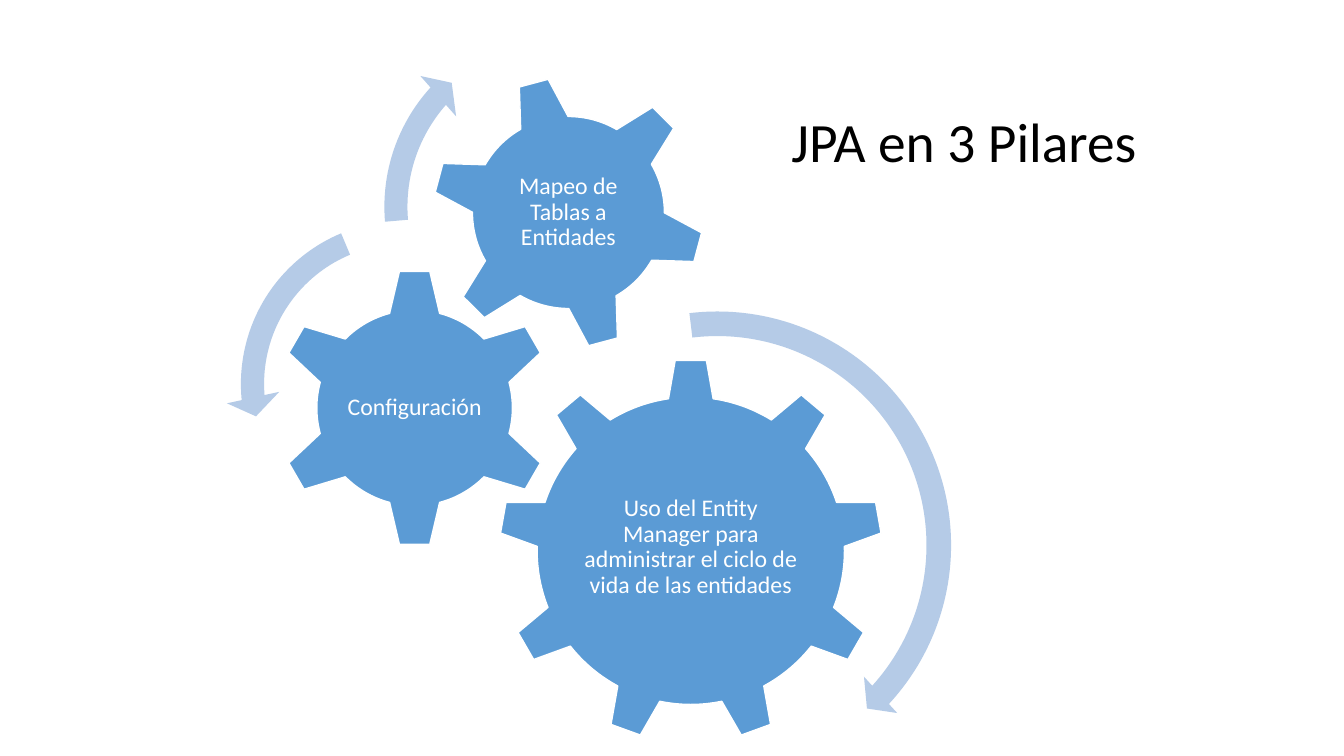
from pptx import Presentation
from pptx.dml.color import RGBColor
from pptx.enum.shapes import MSO_SHAPE
from pptx.enum.text import MSO_ANCHOR, PP_ALIGN
from pptx.util import Cm, Pt

GEAR_6, GEAR_9 = MSO_SHAPE.GEAR_6, MSO_SHAPE.GEAR_9
CLOCKWISE, COUNTERCLOCKWISE = MSO_SHAPE.CIRCULAR_ARROW, MSO_SHAPE.LEFT_CIRCULAR_ARROW
MIDDLE = MSO_ANCHOR.MIDDLE
LEFT, CENTER = PP_ALIGN.LEFT, PP_ALIGN.CENTER

BLUE = RGBColor(0x5B, 0x9B, 0xD5)
PALE_BLUE = RGBColor(0xB5, 0xCB, 0xE7)
WHITE = RGBColor(0xFF, 0xFF, 0xFF)
BLACK = RGBColor(0, 0, 0)
FONT = "Calibri"
LABEL_INSET = 0.05


def write_text(frame, text, size, color, align, inset=None):
    frame.word_wrap = True
    frame.vertical_anchor = MIDDLE
    if inset is not None:
        frame.margin_left = frame.margin_right = Cm(inset)
        frame.margin_top = frame.margin_bottom = Cm(inset)
    paragraph = frame.paragraphs[0]
    paragraph.alignment = align
    paragraph.line_spacing = 0.9
    run = paragraph.add_run()
    run.text = text
    run.font.name = FONT
    run.font.size = Pt(size)
    run.font.color.rgb = color


def add_square(slide, kind, left, top, side, fill):
    square = slide.shapes.add_shape(kind, Cm(left), Cm(top), Cm(side), Cm(side))
    square.shadow.inherit = False
    square.fill.solid()
    square.fill.fore_color.rgb = fill
    return square


def add_pillar(slide, box, kind, text, label_size, label_shift=0, rotation=0):
    left, top, side = box
    gear = add_square(slide, kind, left, top, side, BLUE)
    gear.line.color.rgb = WHITE
    gear.line.width = Pt(1)
    gear.rotation = rotation
    width, height = label_size
    label = slide.shapes.add_textbox(
        Cm(left + (side - width) / 2), Cm(top + (side - height) / 2 + label_shift),
        Cm(width), Cm(height))
    write_text(label.text_frame, text, 17, WHITE, CENTER, LABEL_INSET)


def add_turn(slide, gear_box, kind, offset, side, adjustments):
    left, top, _ = gear_box
    turn = add_square(slide, kind, left + offset[0], top + offset[1], side, PALE_BLUE)
    turn.line.fill.background()
    for index, value in enumerate(adjustments):
        turn.adjustments[index] = value


def add_title(slide, left, top, width, height, text):
    title = slide.shapes.title
    title.left, title.top, title.width, title.height = map(Cm, (left, top, width, height))
    write_text(title.text_frame, text, 39.6, BLACK, LEFT)


def build_pillars_slide(deck):
    slide = deck.slides.add_slide(deck.slide_layouts[5])
    manager = (12.57, 9.04, 9.68)
    configuration = (6.93, 6.76, 7.04)
    mapping = (10.87, 1.9, 6.91)

    add_pillar(slide, manager, GEAR_9,
               "Uso del Entity Manager para administrar el ciclo de vida de las entidades",
               (5.79, 4.98), label_shift=-0.09)
    add_pillar(slide, configuration, GEAR_6, "Configuración", (3.5, 3.48))
    add_pillar(slide, mapping, GEAR_6, "Mapeo de Tablas a Entidades",
               (3.86, 3.86), rotation=345)

    add_turn(slide, manager, CLOCKWISE, (-0.69, -1.5), 12.4,
             (0.05, 2.99, 25.51, 157.88, 0.05))
    add_turn(slide, configuration, COUNTERCLOCKWISE, (-1.24, -1.58), 8.99,
             (0.065, 4.3, 104.89, 148.38, 0.075))
    add_turn(slide, mapping, CLOCKWISE, (-1.57, -1.54), 9.7,
             (0.06, 3.94, 133.14, 105.08, 0.07))

    add_title(slide, 19.69, 2.97, 12.19, 1.32, "JPA en 3 Pilares")


deck = Presentation()
deck.slide_width, deck.slide_height = Cm(33.87), Cm(19.05)
build_pillars_slide(deck)
deck.save("out.pptx")
